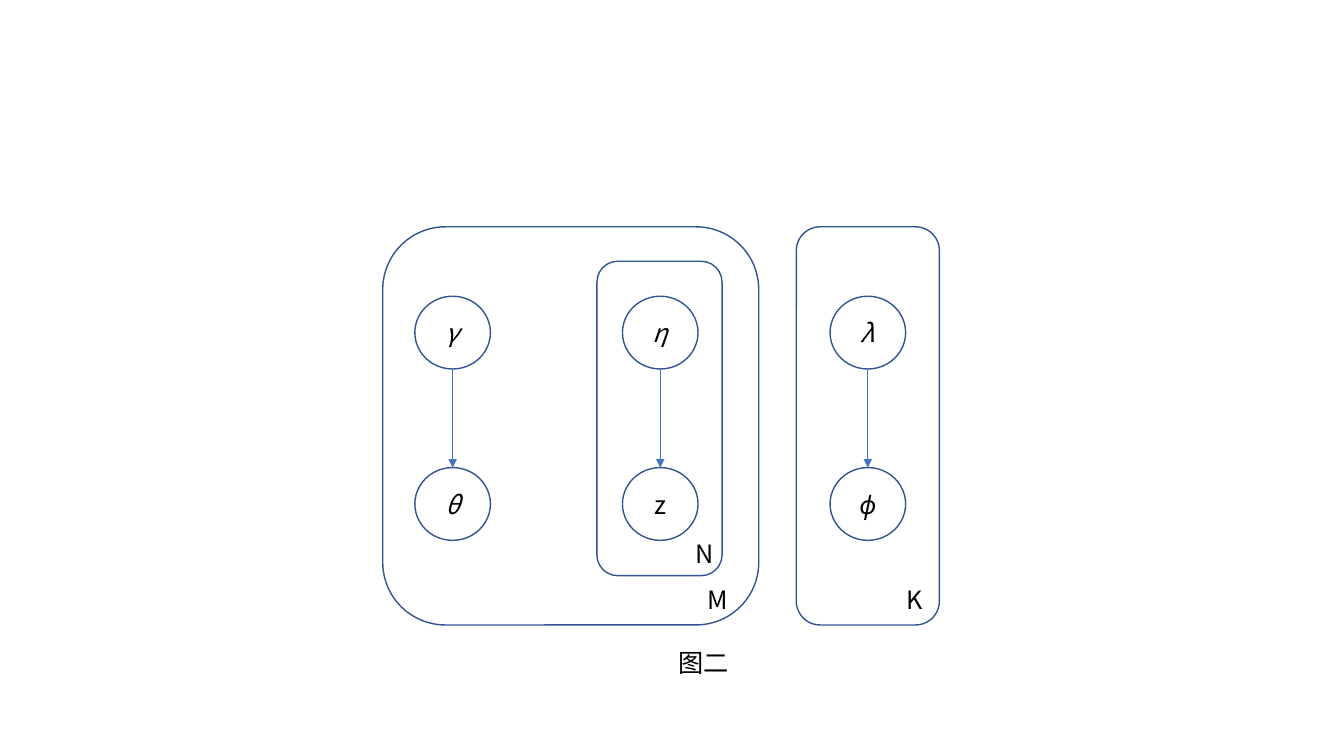
from dataclasses import dataclass

from lxml import etree
from pptx import Presentation
from pptx.dml.color import RGBColor
from pptx.enum import shapes, text
from pptx.oxml import ns
from pptx.util import Pt

COLORS = {"outline": "325491", "arrow": "4472C4", "ink": "000000"}
FONT = "Noto Sans CJK SC"
FONT_SIZE = 18

# Node grid: column and row centres
FIRST_COLUMN, COLUMN_STEP = 323.3, 148.3
PARENT_ROW, CHILD_ROW = 237.6, 360
NODE_WIDTH, NODE_HEIGHT = 54, 52


@dataclass(frozen=True)
class Box:
    left: float
    top: float
    width: float
    height: float

    def lengths(self) -> tuple:
        return Pt(self.left), Pt(self.top), Pt(self.width), Pt(self.height)


@dataclass(frozen=True)
class Label:
    wording: str
    box: Box


@dataclass(frozen=True)
class Dependency:
    parent: str
    child: str
    child_italic: bool = True


DEPENDENCIES = [
    Dependency("γ", "θ"),
    Dependency("η", "z", child_italic=False),
    Dependency("λ", "ϕ"),
]
PLATES = [
    Box(273.4, 162, 268.6, 284.4),   # M
    Box(426.4, 186.6, 89.4, 224.6),  # N
    Box(568.8, 162, 102.2, 284.4),   # K
]
LABELS = [
    Label("K", Box(640.6, 413.6, 24.6, 29)),
    Label("N", Box(489.4, 380.6, 28, 29)),
    Label("M", Box(498.6, 413.6, 30, 29)),
    Label("图二", Box(477.2, 459, 51, 29)),
]


def write(shape, wording: str, italic: bool = False) -> None:
    paragraph = shape.text_frame.paragraphs[0]
    paragraph.text = wording
    font = paragraph.font
    font.name, font.size, font.italic = FONT, Pt(FONT_SIZE), italic
    font.color.rgb = RGBColor.from_string(COLORS["ink"])


def add_outline(slide, preset: shapes.MSO_SHAPE, box: Box):
    outline = slide.shapes.add_shape(preset, *box.lengths())
    outline.shadow.inherit = False
    outline.fill.background()
    outline.line.color.rgb = RGBColor.from_string(COLORS["outline"])
    outline.line.width = Pt(1)
    return outline


def add_node(slide, symbol: str, center_x: float, center_y: float, italic: bool):
    box = Box(center_x - NODE_WIDTH / 2, center_y - NODE_HEIGHT / 2, NODE_WIDTH, NODE_HEIGHT)
    node = add_outline(slide, shapes.MSO_SHAPE.OVAL, box)
    node.text_frame.vertical_anchor = text.MSO_ANCHOR.MIDDLE
    write(node, symbol, italic)
    node.text_frame.paragraphs[0].alignment = text.PP_ALIGN.CENTER
    return node


def add_arrow(slide, parent, child) -> None:
    center_x = parent.left + parent.width // 2
    arrow = slide.shapes.add_connector(
        shapes.MSO_CONNECTOR.STRAIGHT, center_x, parent.top + parent.height, center_x, child.top
    )
    arrow.line.color.rgb = RGBColor.from_string(COLORS["arrow"])
    arrow.line.width = Pt(0.5)
    properties = arrow._element.spPr
    etree.SubElement(properties.find(ns.qn("a:ln")), ns.qn("a:tailEnd"), type="triangle")
    etree.SubElement(properties, ns.qn("a:effectLst"))


def add_label(slide, label: Label) -> None:
    caption = slide.shapes.add_textbox(*label.box.lengths())
    caption.text_frame.word_wrap = False
    caption.text_frame.auto_size = text.MSO_AUTO_SIZE.SHAPE_TO_FIT_TEXT
    write(caption, label.wording)


def main() -> None:
    presentation = Presentation()
    presentation.slide_width, presentation.slide_height = Pt(960), Pt(540)
    slide = presentation.slides.add_slide(presentation.slide_layouts[6])

    # Plates
    for plate in PLATES:
        add_outline(slide, shapes.MSO_SHAPE.ROUNDED_RECTANGLE, plate)

    # Variables and their dependencies
    for column, dependency in enumerate(DEPENDENCIES):
        center_x = FIRST_COLUMN + column * COLUMN_STEP
        parent = add_node(slide, dependency.parent, center_x, PARENT_ROW, True)
        child = add_node(slide, dependency.child, center_x, CHILD_ROW, dependency.child_italic)
        add_arrow(slide, parent, child)

    # Plate names and figure caption
    for label in LABELS:
        add_label(slide, label)

    presentation.save("out.pptx")


main()
